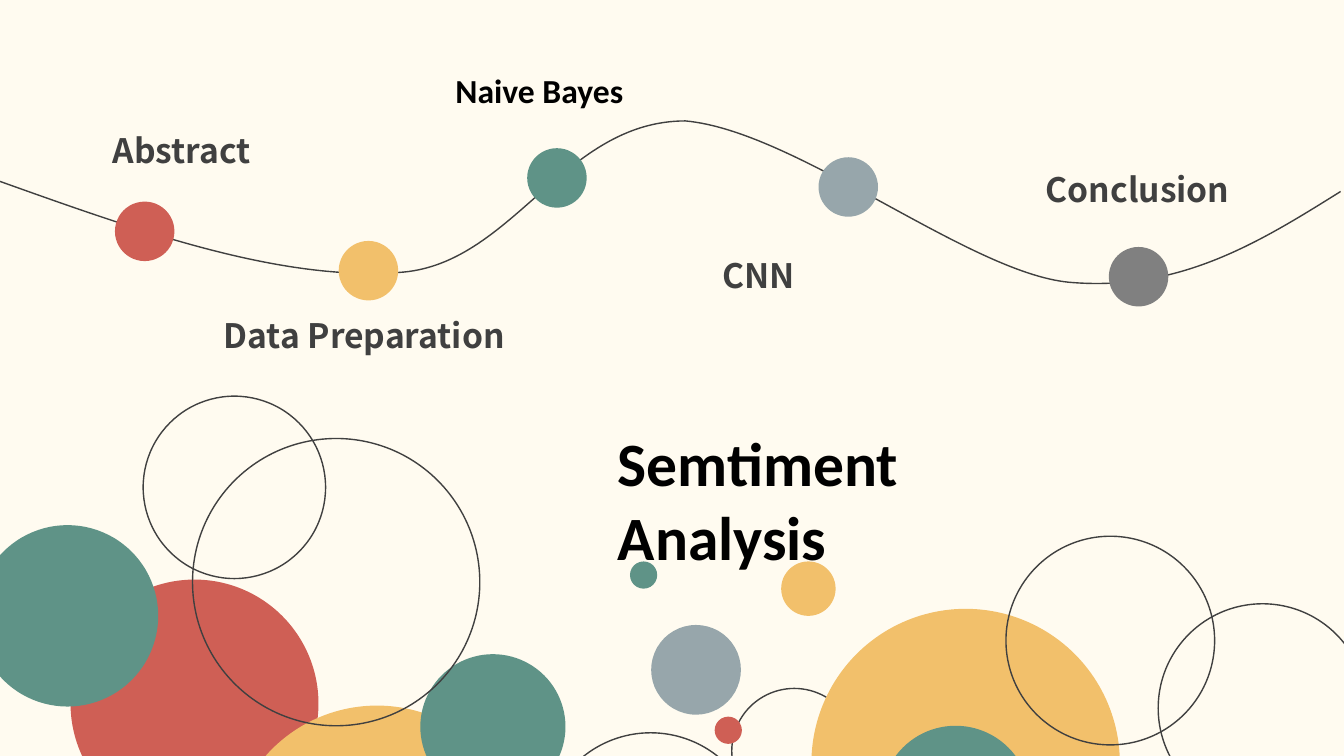
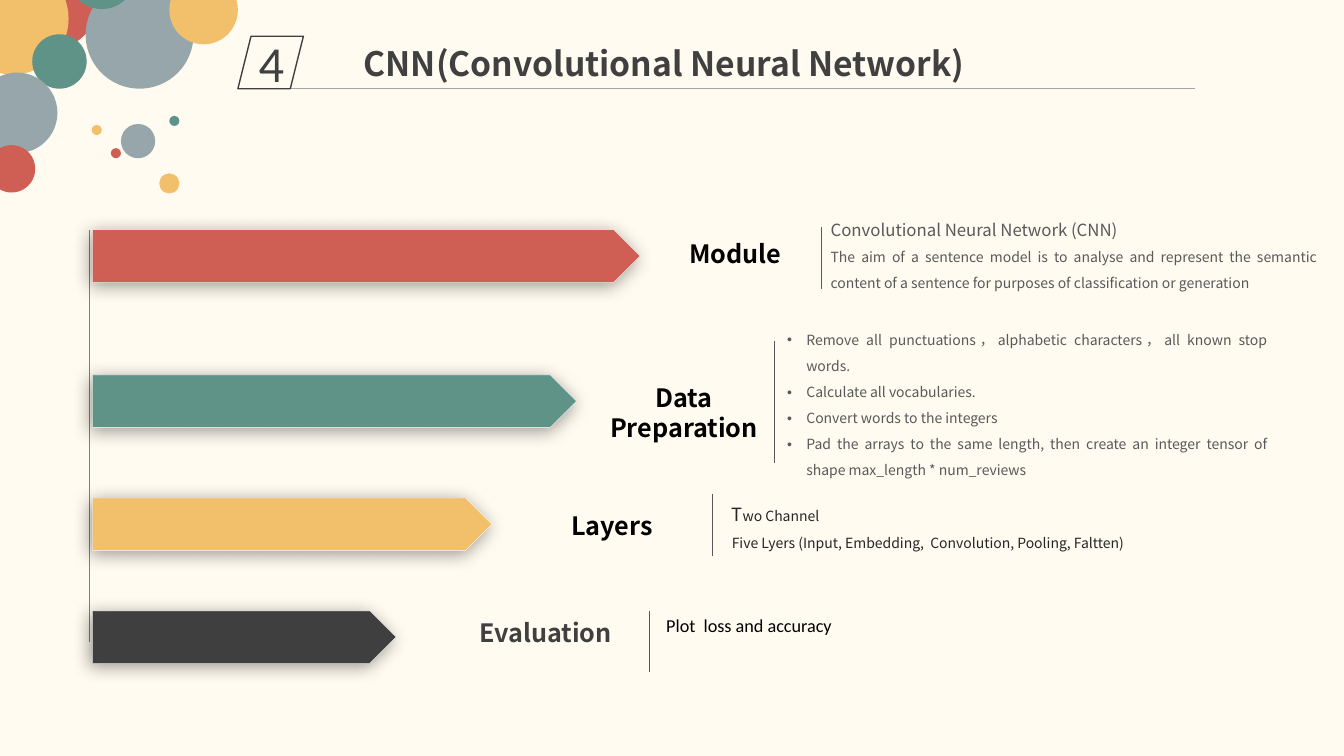
from dataclasses import dataclass

from lxml import etree
from pptx import Presentation
from pptx.dml.color import RGBColor
from pptx.enum.shapes import MSO_CONNECTOR, MSO_SHAPE
from pptx.enum.text import MSO_ANCHOR, MSO_AUTO_SIZE, PP_ALIGN
from pptx.oxml.ns import qn
from pptx.util import Inches, Pt

OVAL, ARROW_BAR = MSO_SHAPE.OVAL, MSO_SHAPE.PENTAGON
PARALLELOGRAM = MSO_SHAPE.PARALLELOGRAM
STRAIGHT = MSO_CONNECTOR.STRAIGHT
LEFT, CENTER, JUSTIFY = PP_ALIGN.LEFT, PP_ALIGN.CENTER, PP_ALIGN.JUSTIFY
MIDDLE = MSO_ANCHOR.MIDDLE
GROW = MSO_AUTO_SIZE.SHAPE_TO_FIT_TEXT

# Grid cells are a tenth of an inch square.
CELL = Inches(0.1)
COLUMNS, ROWS = 133.33, 75

CREAM, RED, GOLD, GREEN, SLATE = "FFFBF0", "CF5F55", "F2C06B", "5F9387", "97A6AB"
CHARCOAL, INK, GREY, BODY, RULE = "404040", "262626", "808080", "595959", "A6A6A6"
BLACK, WHITE, DARK_BAR = "000000", "FFFFFF", "3F3F3F"
SANS, PLAIN = "Noto Sans CJK SC", "Calibri"

Box = tuple[float, float, float, float]


@dataclass(frozen=True)
class Circle:
    left: float
    top: float
    size: float
    fill: str | None = None


@dataclass(frozen=True)
class Style:
    font: str
    color: str
    bold: bool = False
    align: PP_ALIGN = LEFT
    inset: tuple[float, float] = (1, 0.5)
    spacing: float | None = None
    bulleted: bool = False


@dataclass(frozen=True)
class Line:
    text: str
    size: float
    tail: str = ""
    tail_size: float = 0


@dataclass(frozen=True)
class Topic:
    name: str
    box: Box
    style: Style


@dataclass(frozen=True)
class Step:
    heading: str
    heading_box: Box
    heading_color: str
    bar_color: str
    bar_top: float
    bar_width: float
    divider: tuple[float, float, float]
    detail_box: Box
    detail_style: Style
    details: tuple[Line, ...]


TITLE = Style(SANS, CHARCOAL, bold=True)
PLAIN_TITLE = Style(PLAIN, BLACK, bold=True)


def detail(color: str, font: str = SANS, bulleted: bool = False) -> Style:
    return Style(font, color, False, JUSTIFY, (0, 0), 18.6, bulleted)


BUBBLES = (
    Circle(7, 57.5, 24.6, RED), Circle(22.7, 70, 29.4, GOLD),
    Circle(41.7, 64.9, 14.4, GREEN), Circle(53.9, 72.7, 21.3),
    Circle(19.1, 43.5, 28.5), Circle(-2.3, 52.1, 18, GREEN),
    Circle(72.6, 68.3, 12.4), Circle(80.5, 60.4, 30.6, GOLD),
    Circle(87.4, 72, 14.8, GREEN), Circle(99.8, 53.2, 20.7),
    Circle(114.9, 59.9, 20.7), Circle(64.6, 62, 8.9, SLATE),
    Circle(70.9, 71.1, 2.7, RED), Circle(62.5, 55.7, 2.7, GREEN),
    Circle(77.5, 55.7, 5.4, GOLD), Circle(14.2, 39.3, 18.1),
)
STOP_SIZE = 5.9
STOPS = (
    Circle(11.4, 20, STOP_SIZE, RED), Circle(33.6, 23.9, STOP_SIZE, GOLD),
    Circle(52.3, 14.7, STOP_SIZE, GREEN), Circle(81.2, 15.6, STOP_SIZE, SLATE),
    Circle(110, 24.5, STOP_SIZE, GREY),
)
# Start point, then two handles and an end point for each bend.
WAVE = (
    (0, 17.7),
    (14.1, 22.6), (28.3, 27.5), (39.6, 26.7),
    (50.8, 25.8), (56.4, 12.3), (67.6, 12.5),
    (78.7, 12.7), (95.5, 26.8), (106.4, 27.8),
    (117.4, 28.9), (125.4, 23.9), (COLUMNS, 18.8),
)
TOPICS = (
    Topic("Abstract", (10.2, 12.4, 31.1, 5), TITLE),
    Topic("Data Preparation", (21.2, 30.8, 31.1, 5), TITLE),
    Topic("Naive Bayes", (44.2, 6.4, 31.1, 5), PLAIN_TITLE),
    Topic("CNN", (70.7, 24.8, 31.1, 9.1), TITLE),
    Topic("Conclusion", (97.3, 16.3, 31.1, 5), Style(SANS, CHARCOAL, True, CENTER)),
)
CORNER_BUBBLES = (
    Circle(0.4, -4.4, 9.3, RED), Circle(-4.3, -3.7, 11.1, GOLD),
    Circle(3.2, 3.4, 5.4, GREEN), Circle(-2.3, 7.2, 8, SLATE),
    Circle(8.5, -1.9, 10.7, SLATE), Circle(6.7, -5.9, 6.8, GREEN),
    Circle(-1.2, 14.4, 4.7, RED), Circle(12, 12.3, 3.4, SLATE),
    Circle(11, 14.7, 1, RED), Circle(9.1, 12.4, 1, GOLD),
    Circle(16.8, 11.5, 1, GREEN), Circle(15.8, 17.2, 2, GOLD),
    Circle(16.8, -2.4, 6.8, GOLD),
)
BAR_LEFT, BAR_HEIGHT = 9.2, 5.2
STEPS = (
    Step("Evaluation", (45.7, 60.5, 16.8, 4.3), CHARCOAL, DARK_BAR, 60.6, 30.1,
         (64.4, 60.6, 66.7), (66.1, 60.5, 47.6, 2.6), detail(BLACK, PLAIN),
         (Line("Plot  loss and accuracy", 13),)),
    Step("Layers", (53.7, 49.9, 14, 4.3), BLACK, GOLD, 49.4, 39.6,
         (70.7, 49, 55.2), (72.6, 49.5, 47.7, 5.2), detail(INK),
         (Line("T", 13, "wo Channel", 10),
          Line("Five Lyers (Input, Embedding,  Convolution, Pooling, Faltten)", 10))),
    Step("Data Preparation", (58.9, 37.2, 17.9, 7.4), BLACK, GREEN, 37.2, 48,
         (76.8, 33.8, 45.9), (78.1, 32, 47.6, 15.7), detail(BODY, bulleted=True),
         (Line("Remove all punctuations，alphabetic characters，all known stop words.", 10),
          Line("Calculate all vocabularies.", 10),
          Line("Convert words to the integers", 10),
          Line("Pad the arrays to the same length, then create an integer tensor of "
               "shape max_length * num_reviews", 10))),
    Step("Module", (66.1, 22.9, 13.7, 4.3), BLACK, RED, 22.8, 54.3,
         (81.5, 22.5, 28.7), (82.4, 21.2, 48.2, 7.8), detail(BODY),
         (Line("Convolutional Neural Network (CNN) ", 12),
          Line("The aim of a sentence model is to analyse and represent the semantic "
               "content of a sentence for purposes of classification or generation", 10))),
)


def cells(*counts: float) -> list[int]:
    return [round(count * CELL) for count in counts]


def rgb(color: str) -> RGBColor:
    return RGBColor.from_string(color)


def paint(shape, fill: str | None, line: str | None = None, weight: float = 1) -> None:
    shape.shadow.inherit = False
    if fill:
        shape.fill.solid()
        shape.fill.fore_color.rgb = rgb(fill)
    else:
        shape.fill.background()
    if line:
        shape.line.color.rgb = rgb(line)
        shape.line.width = Pt(weight)
    else:
        shape.line.fill.background()


def add_circles(slide, circles: tuple[Circle, ...]) -> None:
    for circle in circles:
        oval = slide.shapes.add_shape(
            OVAL, *cells(circle.left, circle.top, circle.size, circle.size))
        paint(oval, circle.fill, None if circle.fill else CHARCOAL)


def add_rule(slide, ends: Box, color: str, weight: float) -> None:
    rule = slide.shapes.add_connector(STRAIGHT, *cells(*ends))
    rule.line.color.rgb = rgb(color)
    rule.line.width = Pt(weight)
    etree.SubElement(rule._element.spPr, qn("a:effectLst"))


def add_wave(slide, points: tuple[tuple[float, float], ...]) -> None:
    """Draw an open outline whose points after the first are cubic bends."""
    start, *bends = points
    builder = slide.shapes.build_freeform(*start, scale=float(CELL))
    builder.add_line_segments(bends, close=False)
    wave = builder.convert_to_shape()
    paint(wave, None, CHARCOAL)
    outline = wave._element.spPr.find(".//" + qn("a:path"))
    segments = outline.findall(qn("a:lnTo"))
    for first in range(0, len(segments), 3):
        bend = etree.SubElement(outline, qn("a:cubicBezTo"))
        for segment in segments[first:first + 3]:
            bend.append(segment[0])
            outline.remove(segment)


def style_run(run, style: Style, size: float) -> None:
    run.font.name, run.font.size, run.font.bold = style.font, Pt(size), style.bold
    run.font.color.rgb = rgb(style.color)
    east_asian = etree.Element(qn("a:ea"), typeface=style.font)
    run.font._element.find(qn("a:latin")).addnext(east_asian)


def add_bullet(paragraph) -> None:
    properties = paragraph._p.get_or_add_pPr()
    indent = Inches(0.19)
    properties.set("marL", str(indent))
    properties.set("indent", str(-indent))
    etree.SubElement(properties, qn("a:buFont"), typeface="Arial")
    etree.SubElement(properties, qn("a:buChar"), char="•")


def fill_text(frame, lines: tuple[Line, ...], style: Style) -> None:
    for index, line in enumerate(lines):
        paragraph = frame.add_paragraph() if index else frame.paragraphs[0]
        paragraph.text = line.text
        paragraph.alignment = style.align
        if style.spacing:
            paragraph.line_spacing = Pt(style.spacing)
        if style.bulleted:
            add_bullet(paragraph)
        style_run(paragraph.runs[0], style, line.size)
        if line.tail:
            tail = paragraph.add_run()
            tail.text = line.tail
            style_run(tail, style, line.tail_size)


def add_text(slide, box: Box, lines: tuple[Line, ...], style: Style) -> None:
    frame = slide.shapes.add_textbox(*cells(*box)).text_frame
    frame.word_wrap, frame.auto_size = True, GROW
    side, edge = cells(*style.inset)
    frame.margin_left = frame.margin_right = side
    frame.margin_top = frame.margin_bottom = edge
    fill_text(frame, lines, style)


def add_bar(slide, step: Step) -> None:
    bar = slide.shapes.add_shape(
        ARROW_BAR, *cells(BAR_LEFT, step.bar_top, step.bar_width, BAR_HEIGHT))
    paint(bar, step.bar_color, WHITE, 0.25)
    effects = bar._element.spPr.find(qn("a:effectLst"))
    shadow = etree.SubElement(
        effects, qn("a:outerShdw"), blurRad=str(Pt(13)), dist=str(Pt(3)),
        dir=str(135 * 60000), algn="tr", rotWithShape="0")
    tint = etree.SubElement(shadow, qn("a:srgbClr"), val=BLACK)
    etree.SubElement(tint, qn("a:alpha"), val="40000")


def add_header(slide, number: str, title: str) -> None:
    add_circles(slide, CORNER_BUBBLES)
    add_rule(slide, (28.4, 8.8, 118.5, 8.8), RULE, 0.5)
    badge = slide.shapes.add_shape(PARALLELOGRAM, *cells(23.6, 3.6, 6.5, 5.2))
    paint(badge, None, CHARCOAL)
    badge.text_frame.vertical_anchor = MIDDLE
    fill_text(badge.text_frame, (Line(number, 36),), Style(PLAIN, CHARCOAL, align=CENTER))
    add_text(slide, (35.1, 3.8, 83.5, 5), (Line(title, 24),), TITLE)


def build_overview(slide) -> None:
    add_circles(slide, BUBBLES)
    add_wave(slide, WAVE)
    add_circles(slide, STOPS)
    for topic in TOPICS:
        add_text(slide, topic.box, (Line(topic.name, 24),), topic.style)
    add_text(slide, (60.3, 41.7, 40.5, 15.8), (Line("Semtiment Analysis", 44),), PLAIN_TITLE)


def build_network(slide) -> None:
    add_rule(slide, (8.9, 22.8, 8.9, 63.7), RED, 0.5)
    for step in STEPS:
        add_bar(slide, step)
        heading = Style(SANS, step.heading_color, True, CENTER, (1.3, 0.7))
        add_text(slide, step.heading_box, (Line(step.heading, 18),), heading)
        column, top, bottom = step.divider
        add_rule(slide, (column, top, column, bottom), BODY, 0.75)
        add_text(slide, step.detail_box, step.details, step.detail_style)
    add_header(slide, "4", "CNN(Convolutional Neural Network)")


def main() -> None:
    prs = Presentation()
    prs.slide_width, prs.slide_height = cells(COLUMNS, ROWS)
    backdrop = prs.slide_master.background.fill
    backdrop.solid()
    backdrop.fore_color.rgb = rgb(CREAM)
    blank = prs.slide_layouts[6]
    for build in (build_overview, build_network):
        build(prs.slides.add_slide(blank))
    prs.save("out.pptx")


if __name__ == "__main__":
    main()
